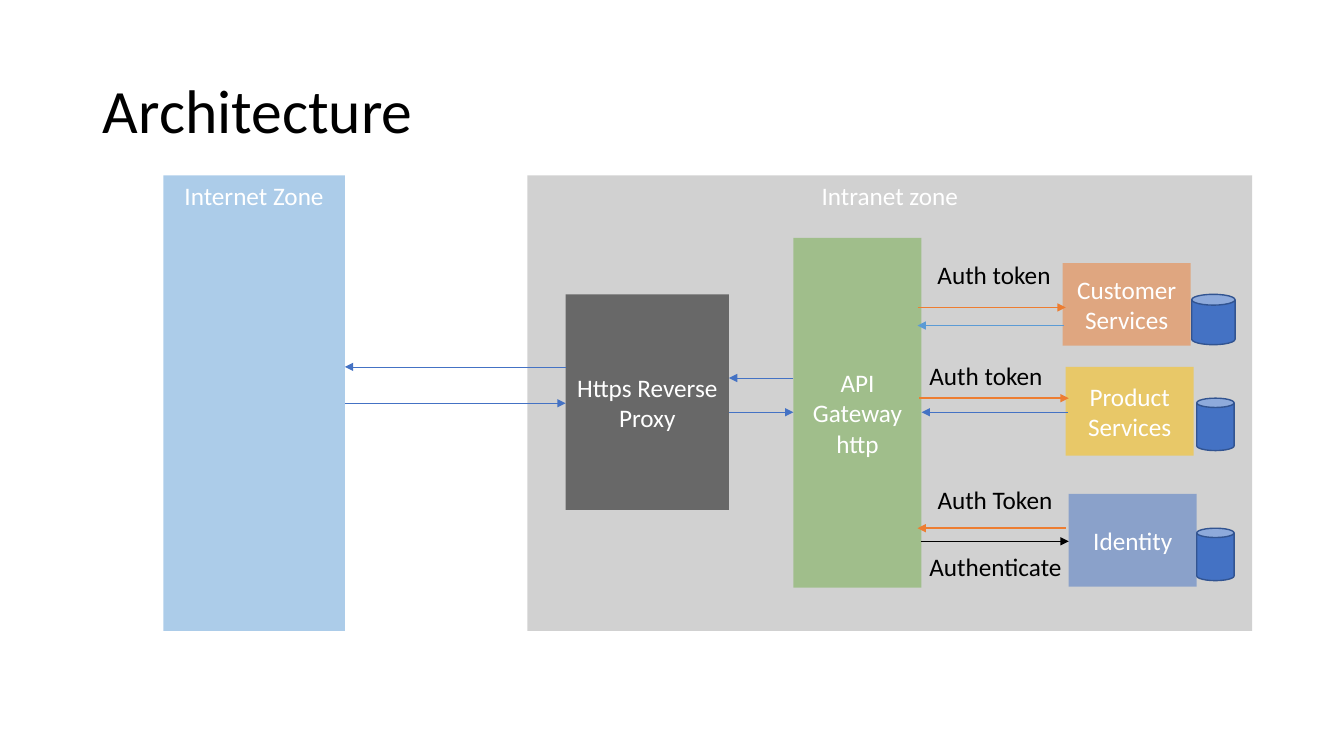
from pptx import Presentation
from pptx.dml.color import RGBColor
from pptx.enum import shapes, text
from pptx.oxml import ns
from pptx.util import Inches, Pt
from lxml import etree


class Theme:
    font = "Calibri"
    title_size, body_size = 44, 18
    black, white = "000000", "FFFFFF"
    blue, sky, gray = "4472C4", "5B9BD5", "A5A5A5"
    green, orange, gold = "70AD47", "ED7D31", "FFC000"
    can_edge = "325491"
    alpha = "50000"
    thin, normal = 0.5, 1


def set_text(sp, words, size, color, align, anchor):
    tf = sp.text_frame
    tf.text = words
    tf.vertical_anchor = anchor
    for p in tf.paragraphs:
        p.alignment = align
        for r in p.runs:
            r.font.name = Theme.font
            r.font.size = Pt(size)
            r.font.color.rgb = RGBColor.from_string(color)
    return tf


def add_solid(kind, box, color):
    sp = s.shapes.add_shape(kind, *map(Inches, box))
    sp.shadow.inherit = False
    sp.fill.solid()
    sp.fill.fore_color.rgb = RGBColor.from_string(color)
    return sp


prs = Presentation()
prs.slide_width, prs.slide_height = Inches(13.33), Inches(7.5)
s = prs.slides.add_slide(prs.slide_layouts[5])
left, center = text.PP_ALIGN.LEFT, text.PP_ALIGN.CENTER
top, middle = text.MSO_ANCHOR.TOP, text.MSO_ANCHOR.MIDDLE

# Title
title = s.shapes.title
title.left, title.top, title.width, title.height = map(Inches, (0.92, 0.4, 11.5, 1.45))
tf = set_text(title, "Architecture", Theme.title_size, Theme.black, left, middle)
tf.paragraphs[0].line_spacing = 0.9

# Zones and components, half transparent
blocks = [
    ("Internet Zone", (1.62, 1.74, 1.8, 4.52), Theme.sky, top),
    ("Intranet zone", (5.23, 1.74, 7.19, 4.52), Theme.gray, top),
    ("Https Reverse Proxy", (5.61, 2.92, 1.62, 2.14), Theme.black, middle),
    ("API Gateway\nhttp", (7.87, 2.36, 1.27, 3.47), Theme.green, middle),
    ("Customer Services", (10.54, 2.61, 1.27, 0.82), Theme.orange, middle),
    ("Product Services", (10.57, 3.64, 1.27, 0.88), Theme.gold, middle),
    ("Identity", (10.6, 4.9, 1.27, 0.92), Theme.blue, middle),
]
for words, box, color, anchor in blocks:
    sp = add_solid(shapes.MSO_SHAPE.RECTANGLE, box, color)
    sp.line.fill.background()
    fill_color = sp.fill._xPr.find(ns.qn("a:solidFill"))[0]
    etree.SubElement(fill_color, ns.qn("a:alpha"), val=Theme.alpha)
    set_text(sp, words, Theme.body_size, Theme.white, center, anchor)

# Databases
for box in [(11.82, 2.92, 0.43, 0.5), (11.87, 3.95, 0.37, 0.52), (11.87, 5.24, 0.37, 0.52)]:
    can = add_solid(shapes.MSO_SHAPE.CAN, box, Theme.blue)
    can.line.color.rgb = RGBColor.from_string(Theme.can_edge)
    can.line.width = Pt(Theme.normal)

# Arrows: start x, end x, height, colour, width
arrows = [
    (5.61, 3.42, 3.64, Theme.blue, Theme.thin),
    (3.42, 5.61, 4, Theme.blue, Theme.thin),
    (7.87, 7.23, 3.75, Theme.blue, Theme.thin),
    (7.23, 7.87, 4.09, Theme.blue, Theme.thin),
    (9.1, 10.57, 3.05, Theme.orange, Theme.normal),
    (10.55, 9.1, 3.23, Theme.sky, Theme.normal),
    (9.12, 10.6, 3.95, Theme.orange, Theme.normal),
    (10.59, 9.14, 4.09, Theme.blue, Theme.thin),
    (10.57, 9.1, 5.24, Theme.orange, Theme.normal),
    (9.13, 10.6, 5.37, Theme.black, Theme.normal),
]
for x1, x2, y, color, width in arrows:
    arrow = s.shapes.add_connector(shapes.MSO_CONNECTOR.STRAIGHT, *map(Inches, (x1, y, x2, y)))
    arrow.line.color.rgb = RGBColor.from_string(color)
    arrow.line.width = Pt(width)
    etree.SubElement(arrow.line._get_or_add_ln(), ns.qn("a:tailEnd"), type="triangle")
    etree.SubElement(arrow._element.spPr, ns.qn("a:effectLst"))

# Arrow labels
labels = [
    ("Auth token", 9.2, 2.52, 1.34),
    ("Auth token", 9.12, 3.53, 1.34),
    ("Auth Token", 9.2, 4.76, 1.35),
    ("Authenticate", 9.12, 5.42, 1.53),
]
for words, x, y, width in labels:
    label = s.shapes.add_textbox(*map(Inches, (x, y, width, 0.4)))
    tf = set_text(label, words, Theme.body_size, Theme.black, left, top)
    tf.word_wrap = False
    tf.auto_size = text.MSO_AUTO_SIZE.SHAPE_TO_FIT_TEXT

prs.save("out.pptx")
